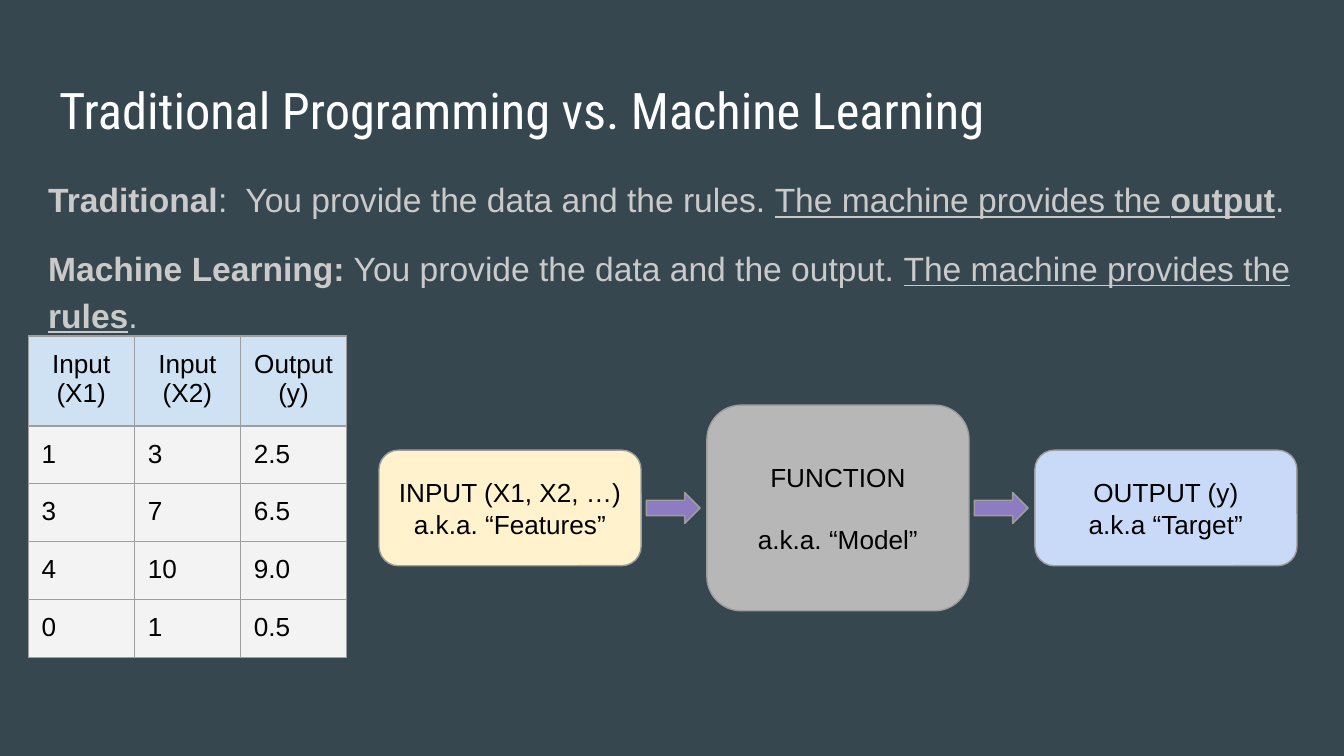
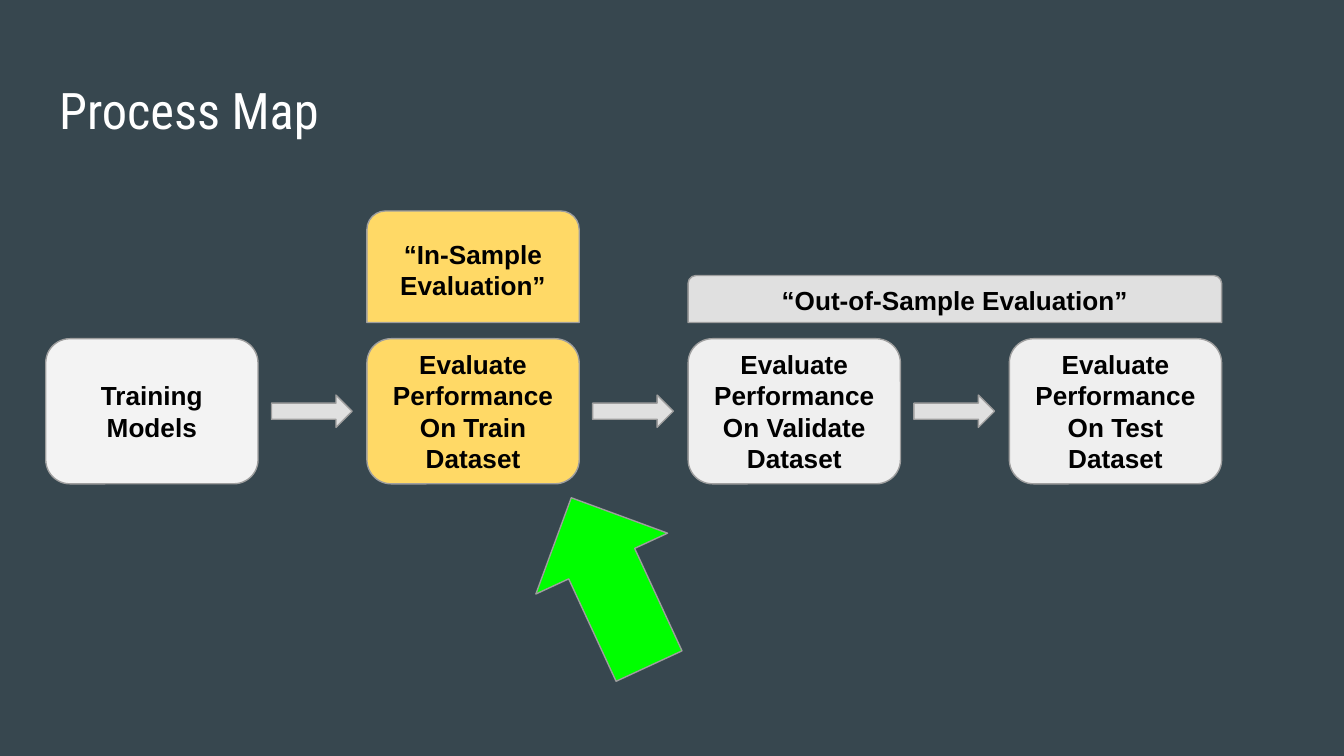
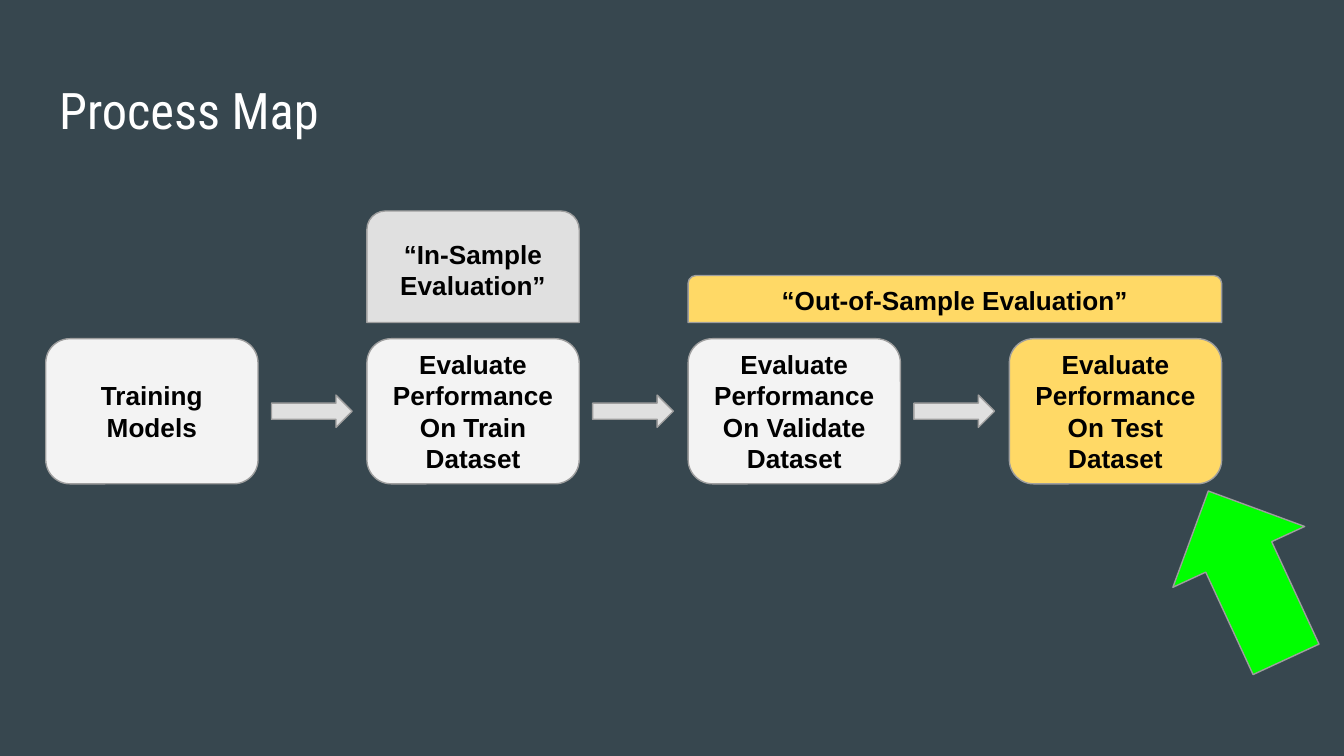
from dataclasses import dataclass

from lxml import etree
from pptx import Presentation
from pptx.dml.color import RGBColor
from pptx.enum.shapes import MSO_SHAPE
from pptx.enum.text import MSO_ANCHOR, MSO_AUTO_SIZE, PP_ALIGN
from pptx.oxml.ns import qn
from pptx.slide import Slide
from pptx.util import Inches, Pt

ROUNDED = MSO_SHAPE.ROUNDED_RECTANGLE
TAB = MSO_SHAPE.ROUND_2_SAME_RECTANGLE
ARROW = MSO_SHAPE.RIGHT_ARROW
TOP, MIDDLE = MSO_ANCHOR.TOP, MSO_ANCHOR.MIDDLE
LEFT, CENTER = PP_ALIGN.LEFT, PP_ALIGN.CENTER
NO_AUTOFIT = MSO_AUTO_SIZE.NONE
TITLE_ONLY = 5


@dataclass(frozen=True)
class Theme:
    background: str = "37474F"
    title: str = "FFFFFF"
    body: str = "CACACA"
    ink: str = "000000"
    outline: str = "9E9E9E"
    pale: str = "F3F3F3"
    soft: str = "EFEFEF"
    neutral: str = "E0E0E0"
    highlight: str = "FFD966"
    pointer: str = "00FF00"
    features: str = "FFF2CC"
    model: str = "B7B7B7"
    target: str = "C9DAF8"
    flow: str = "8E7CC3"
    header: str = "CFE2F3"
    title_font: str = "Roboto Condensed"
    text_font: str = "Arial"
    title_size: float = 27
    body_size: float = 18
    label_size: float = 14
    outline_width: float = 0.75
    inset: float = 0.1


THEME = Theme()


@dataclass(frozen=True)
class Span:
    text: str
    bold: bool = False
    underline: bool = False


@dataclass(frozen=True)
class Block:
    kind: MSO_SHAPE
    left: float
    top: float
    width: float
    height: float
    fill: str
    lines: tuple[str, ...] = ()
    bold: bool = False
    line_gap: float = 0
    rotation: float = 0


@dataclass(frozen=True)
class FlowStep:
    lines: tuple[str, ...]
    height: float
    fill: str
    line_gap: float = 0


@dataclass(frozen=True)
class ProcessView:
    stage_fills: tuple[str, str, str, str]
    in_sample_fill: str
    out_of_sample_fill: str
    pointer_left: float
    pointer_top: float


STATEMENTS = (
    (
        Span("Traditional", bold=True),
        Span(":  You provide the data and the rules. "),
        Span("The machine provides the ", underline=True),
        Span("output", bold=True, underline=True),
        Span("."),
    ),
    (
        Span("Machine Learning:", bold=True),
        Span(" You provide the data and the output. "),
        Span("The machine provides the ", underline=True),
        Span("rules", bold=True, underline=True),
        Span("."),
    ),
)
SAMPLES = (
    (("Input", "(X1)"), ("Input", "(X2)"), ("Output", "(y)")),
    (("1",), ("3",), ("2.5",)),
    (("3",), ("7",), ("6.5",)),
    (("4",), ("10",), ("9.0",)),
    (("0",), ("1",), ("0.5",)),
)
FLOW = (
    FlowStep(("INPUT (X1, X2, …)", "a.k.a. “Features”"), 0.86, THEME.features),
    FlowStep(("FUNCTION", "a.k.a. “Model”"), 1.53, THEME.model, line_gap=16),
    FlowStep(("OUTPUT (y)", "a.k.a “Target”"), 0.86, THEME.target),
)
STAGES = (
    ("Training Models",),
    ("Evaluate Performance", "On Train Dataset"),
    ("Evaluate Performance", "On Validate Dataset"),
    ("Evaluate Performance", "On Test Dataset"),
)
VIEWS = (
    ProcessView(
        (THEME.pale, THEME.highlight, THEME.soft, THEME.soft),
        THEME.highlight, THEME.neutral, 3.85, 3.79,
    ),
    ProcessView(
        (THEME.pale, THEME.pale, THEME.pale, THEME.highlight),
        THEME.neutral, THEME.highlight, 8.59, 3.74,
    ),
)


def color(value: str) -> RGBColor:
    return RGBColor.from_string(value)


def prepare_frame(frame, anchor) -> None:
    frame.word_wrap = True
    frame.auto_size = NO_AUTOFIT
    frame.vertical_anchor = anchor
    frame.margin_left = frame.margin_right = Inches(THEME.inset)
    frame.margin_top = frame.margin_bottom = Inches(THEME.inset)


def write_paragraph(frame, index: int, spans, size: float, ink: str,
                    font: str = THEME.text_font, align=LEFT, gap: float = 0):
    para = frame.add_paragraph() if index else frame.paragraphs[0]
    para.alignment = align
    para.space_before = Pt(gap if index else 0)
    for span in spans:
        run = para.add_run()
        run.text = span.text
        run.font.name = font
        run.font.size = Pt(size)
        run.font.bold = span.bold
        run.font.underline = span.underline
        run.font.color.rgb = color(ink)
    return para


def add_page(deck, title: str) -> Slide:
    page = deck.slides.add_slide(deck.slide_layouts[TITLE_ONLY])
    box = page.shapes.title
    box.left, box.top = Inches(0.34), Inches(0.49)
    box.width, box.height = Inches(9.32), Inches(0.63)
    prepare_frame(box.text_frame, TOP)
    write_paragraph(box.text_frame, 0, [Span(title)], THEME.title_size,
                    THEME.title, THEME.title_font)
    return page


def add_block(page: Slide, block: Block) -> None:
    shape = page.shapes.add_shape(
        block.kind, Inches(block.left), Inches(block.top),
        Inches(block.width), Inches(block.height))
    shape.shadow.inherit = False
    shape.rotation = block.rotation
    shape.fill.solid()
    shape.fill.fore_color.rgb = color(block.fill)
    shape.line.color.rgb = color(THEME.outline)
    shape.line.width = Pt(THEME.outline_width)
    prepare_frame(shape.text_frame, MIDDLE)
    for index, line in enumerate(block.lines):
        write_paragraph(shape.text_frame, index, [Span(line, block.bold)],
                        THEME.label_size, THEME.ink, align=CENTER,
                        gap=block.line_gap)


def add_statements(page: Slide) -> None:
    box = page.shapes.add_textbox(Inches(0.26), Inches(1.19), Inches(9.48), Inches(2.47))
    prepare_frame(box.text_frame, TOP)
    for index, spans in enumerate(STATEMENTS):
        para = write_paragraph(box.text_frame, index, spans,
                               THEME.body_size, THEME.body, gap=12)
        para.line_spacing = 1.15


def outline_cell(cell) -> None:
    properties = cell._tc.get_or_add_tcPr()
    for side in ("a:lnL", "a:lnR", "a:lnT", "a:lnB"):
        line = etree.SubElement(properties, qn(side), w=str(Pt(THEME.outline_width)))
        fill = etree.SubElement(line, qn("a:solidFill"))
        etree.SubElement(fill, qn("a:srgbClr"), val=THEME.outline)


def add_sample_table(page: Slide) -> None:
    column_width, header_height, row_height = 0.79, 0.67, 0.43
    row_count, column_count = len(SAMPLES), len(SAMPLES[0])
    table = page.shapes.add_table(
        row_count, column_count, Inches(0.21), Inches(2.5),
        Inches(column_width * column_count),
        Inches(header_height + row_height * (row_count - 1))).table
    table.first_row = table.horz_banding = False
    for column in table.columns:
        column.width = Inches(column_width)
    for row_index, values in enumerate(SAMPLES):
        is_header = row_index == 0
        table.rows[row_index].height = Inches(header_height if is_header else row_height)
        for column_index, lines in enumerate(values):
            cell = table.cell(row_index, column_index)
            outline_cell(cell)
            cell.fill.solid()
            cell.fill.fore_color.rgb = color(THEME.header if is_header else THEME.pale)
            cell.margin_left = cell.margin_right = Inches(THEME.inset)
            cell.margin_top = cell.margin_bottom = Inches(THEME.inset)
            for index, line in enumerate(lines):
                write_paragraph(cell.text_frame, index, [Span(line)],
                                THEME.label_size, THEME.ink,
                                align=CENTER if is_header else LEFT)


def add_flow(page: Slide) -> None:
    start, pitch, width, middle = 2.82, 2.44, 1.95, 3.78
    arrow_width, arrow_height, arrow_gap = 0.4, 0.23, 0.04
    for index, step in enumerate(FLOW):
        left = start + index * pitch
        add_block(page, Block(ROUNDED, left, middle - step.height / 2, width,
                              step.height, step.fill, step.lines,
                              line_gap=step.line_gap))
        if index < len(FLOW) - 1:
            add_block(page, Block(ARROW, left + width + arrow_gap,
                                  middle - arrow_height / 2,
                                  arrow_width, arrow_height, THEME.flow))


def add_process_map(page: Slide, view: ProcessView) -> None:
    start, pitch, width = 0.34, 2.39, 1.58
    top, height, tab_bottom = 2.52, 1.08, 2.4
    lefts = [start + index * pitch for index in range(len(STAGES))]
    for left, lines, fill in zip(lefts, STAGES, view.stage_fills):
        add_block(page, Block(ROUNDED, left, top, width, height, fill, lines, bold=True))
    for left in lefts[:-1]:
        add_block(page, Block(ARROW, left + width + 0.1, 2.94, 0.6, 0.24, THEME.neutral))
    tabs = (
        ("“Out-of-Sample Evaluation”", 2, 3, 0.35, view.out_of_sample_fill),
        ("“In-Sample Evaluation”", 1, 1, 0.83, view.in_sample_fill),
    )
    for label, first, last, tab_height, fill in tabs:
        add_block(page, Block(TAB, lefts[first], tab_bottom - tab_height,
                              lefts[last] + width - lefts[first], tab_height,
                              fill, (label,), bold=True))
    add_block(page, Block(ARROW, view.pointer_left, view.pointer_top, 1.38, 1.08,
                          THEME.pointer, rotation=245.2))


def main() -> None:
    deck = Presentation()
    deck.slide_width = Inches(10)
    deck.slide_height = Inches(10 * 9 / 16)
    backdrop = deck.slide_master.background.fill
    backdrop.solid()
    backdrop.fore_color.rgb = color(THEME.background)

    page = add_page(deck, "Traditional Programming vs. Machine Learning")
    add_statements(page)
    add_flow(page)
    add_sample_table(page)
    for view in VIEWS:
        add_process_map(add_page(deck, "Process Map"), view)
    deck.save("out.pptx")


if __name__ == "__main__":
    main()
